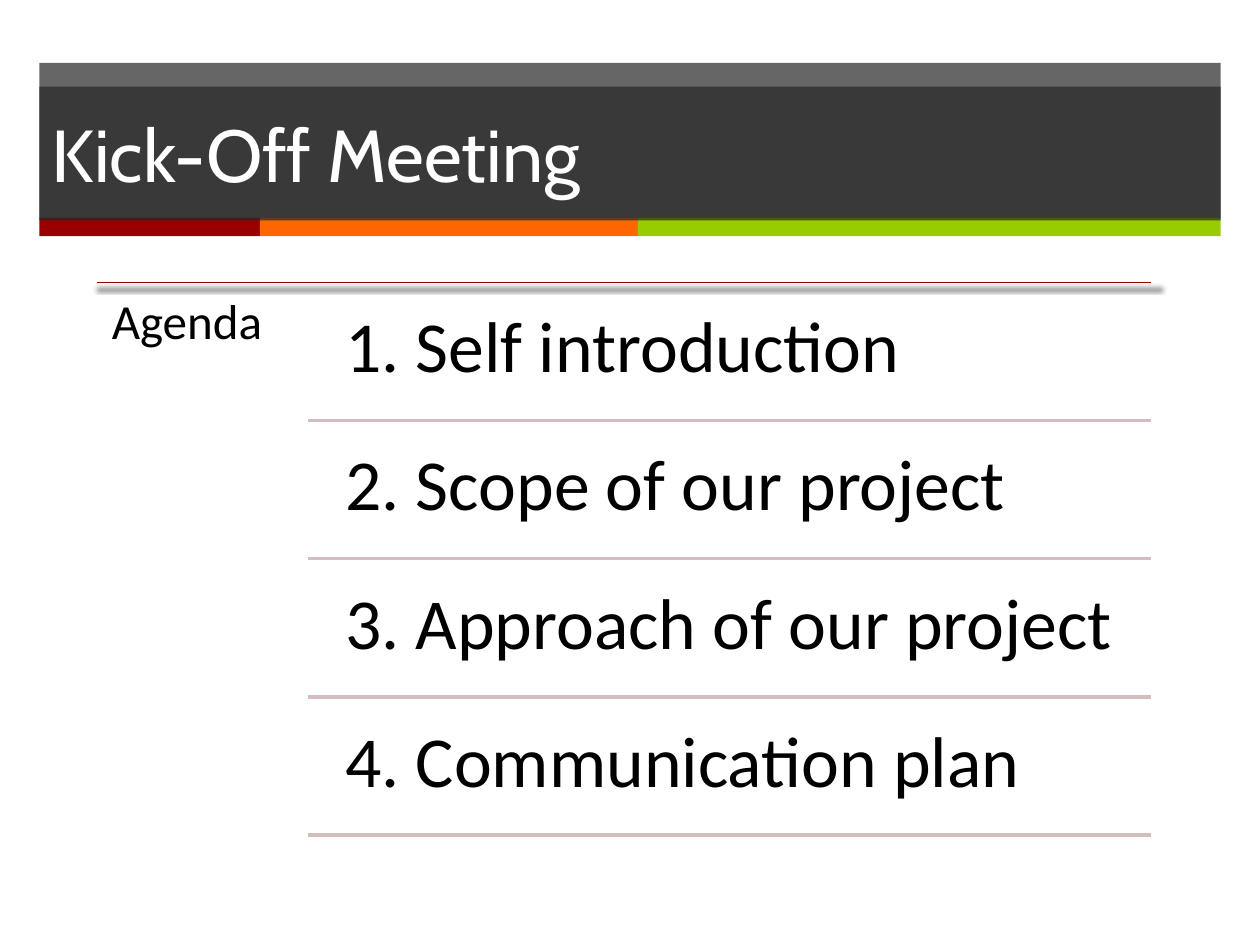
from lxml.etree import SubElement
from pptx import Presentation
from pptx.dml.color import RGBColor
from pptx.enum.shapes import MSO_CONNECTOR, MSO_SHAPE
from pptx.enum.text import MSO_ANCHOR, PP_ALIGN
from pptx.oxml.ns import qn
from pptx.util import Pt

prs = Presentation()
prs.slide_width, prs.slide_height = Pt(720), Pt(540)
slide = prs.slides.add_slide(prs.slide_layouts[6])
shapes = slide.shapes


def color(hex_string):
    return RGBColor.from_string(hex_string)


def write(frame, text, font, size, hex_string, inset, spacing):
    """Fill a text frame with one left-aligned, uniformly inset paragraph."""
    frame.word_wrap = True
    frame.margin_left = frame.margin_right = Pt(inset)
    frame.margin_top = frame.margin_bottom = Pt(inset)
    frame.text = text
    line = frame.paragraphs[0]
    line.alignment = PP_ALIGN.LEFT
    line.line_spacing = spacing
    line.font.name = font
    line.font.size = Pt(size)
    line.font.color.rgb = color(hex_string)


# Header: two overlapping translucent bands with a colour strip between them
BAND_LEFT, BAND_WIDTH = 22.5, 675
header = [
    (BAND_LEFT, 36, BAND_WIDTH, 89, "262626", 70),
    (BAND_LEFT, 124.5, 126, 10.5, "990000", 100),
    (148.5, 124.5, 216, 10.5, "FF6600", 100),
    (364.5, 124.5, 333, 10.5, "99CC00", 100),
    (BAND_LEFT, 49.5, BAND_WIDTH, 76.5, "262626", 70),
]
for left, top, width, height, fill, opacity in header:
    band = shapes.add_shape(MSO_SHAPE.RECTANGLE, Pt(left), Pt(top), Pt(width), Pt(height))
    band.shadow.inherit = False
    band.line.fill.background()
    band.fill.solid()
    band.fill.fore_color.rgb = color(fill)
    if opacity < 100:
        fill_color = band.fill._xPr.find(qn("a:solidFill"))[0]
        SubElement(fill_color, qn("a:alpha"), val=str(opacity * 1000))

# The last band drawn carries the title
write(band.text_frame, "Kick-Off Meeting", "Cabin", 42, "FFFFFF", 7.2, 1.0)
band.text_frame.vertical_anchor = MSO_ANCHOR.MIDDLE

# Agenda heading and its items
AGENDA_LEFT, AGENDA_TOP, AGENDA_RIGHT = 55.5, 161.5, 658
ITEM_LEFT, RULE_LEFT = 185, 176
ITEM_HEIGHT, ITEM_PITCH, ITEM_GAP = 75, 79, 3.75

heading = shapes.add_textbox(Pt(AGENDA_LEFT), Pt(AGENDA_TOP), Pt(120.5), Pt(320))
write(heading.text_frame, "Agenda", "Calibri", 28, "000000", 8.4, 0.9)

items = [
    "1. Self introduction",
    "2. Scope of our project",
    "3. Approach of our project",
    "4. Communication plan",
]
rules = [(AGENDA_LEFT, AGENDA_TOP, "990000", 1)]
for index, item in enumerate(items):
    top = AGENDA_TOP + ITEM_GAP + index * ITEM_PITCH
    entry = shapes.add_textbox(
        Pt(ITEM_LEFT), Pt(top), Pt(AGENDA_RIGHT - ITEM_LEFT), Pt(ITEM_HEIGHT))
    write(entry.text_frame, item, "Calibri", 41, "000000", 12.3, 0.9)
    rules.append((RULE_LEFT, top + ITEM_HEIGHT, "D4BDBD", 2))

effects = []
for left, y, stroke, weight in rules:
    rule = shapes.add_connector(
        MSO_CONNECTOR.STRAIGHT, Pt(left), Pt(y), Pt(AGENDA_RIGHT), Pt(y))
    rule.line.color.rgb = color(stroke)
    rule.line.width = Pt(weight)
    effects.append(SubElement(rule._element.spPr, qn("a:effectLst")))

# Only the top rule casts a shadow
shadow = SubElement(
    effects[0], qn("a:outerShdw"), blurRad=str(Pt(3)), dist=str(Pt(2)),
    dir=str(110 * 60000), sx="101000", sy="101000", algn="tl", rotWithShape="0")
shadow_color = SubElement(shadow, qn("a:srgbClr"), val="000000")
SubElement(shadow_color, qn("a:alpha"), val="75000")

prs.save("out.pptx")
